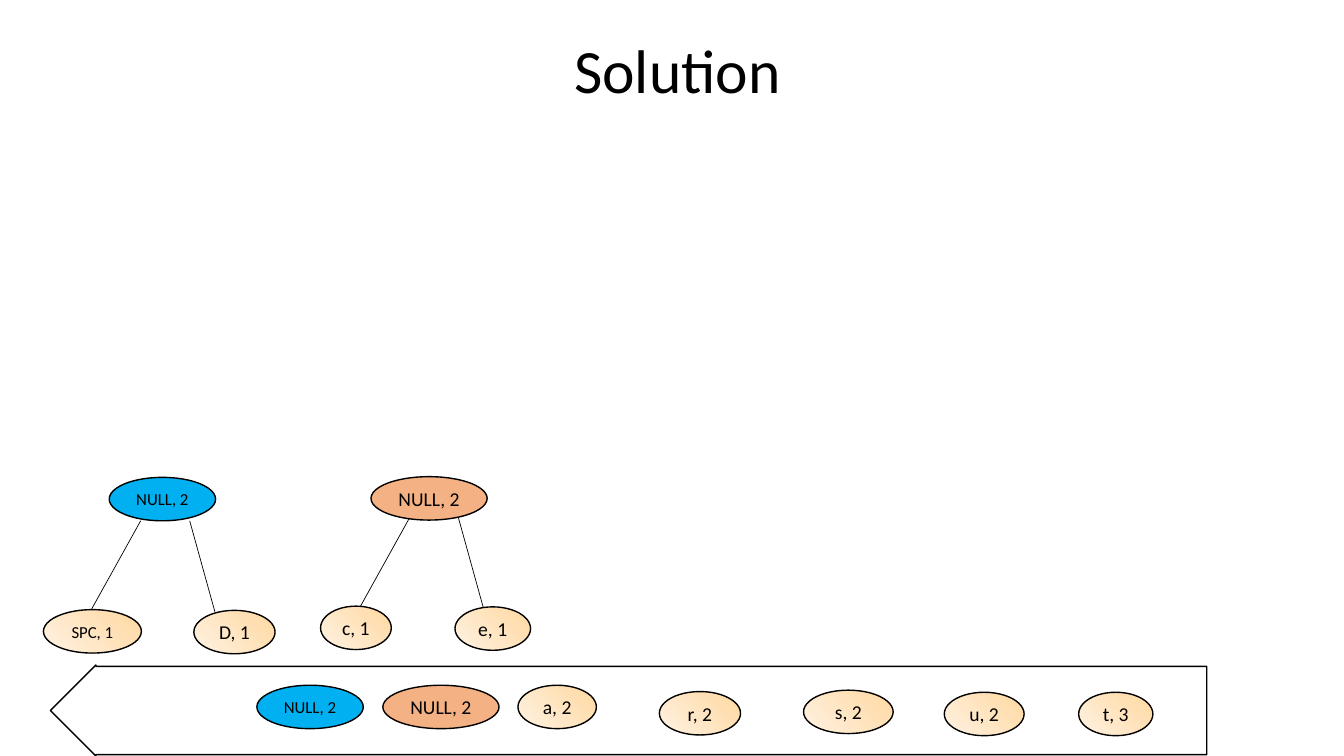
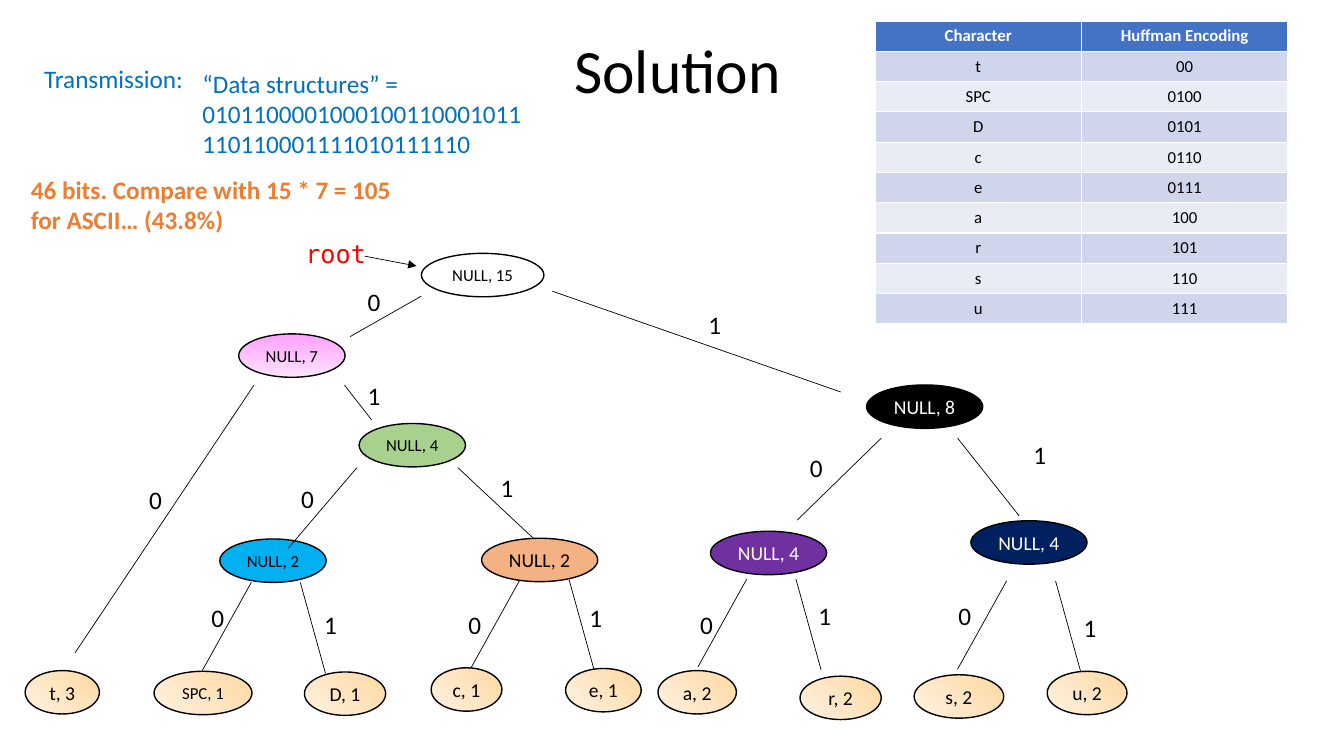
from collections import namedtuple
from lxml.etree import SubElement
from pptx import Presentation
from pptx.dml.color import RGBColor
from pptx.enum.shapes import MSO_CONNECTOR, MSO_SHAPE
from pptx.enum.text import MSO_ANCHOR, PP_ALIGN
from pptx.oxml.ns import qn
from pptx.util import Pt

BLACK = RGBColor(0x00, 0x00, 0x00)
WHITE = RGBColor(0xFF, 0xFF, 0xFF)
RED = RGBColor(0xFF, 0x00, 0x00)
BLUE = RGBColor(0x00, 0x70, 0xC0)
RUST = RGBColor(0xED, 0x7D, 0x31)
SKY = RGBColor(0x00, 0xB0, 0xF0)
CORAL = RGBColor(0xF4, 0xB1, 0x83)
PLUM = RGBColor(0x70, 0x30, 0xA0)
NAVY = RGBColor(0x00, 0x20, 0x60)
GREEN = RGBColor(0xA9, 0xD1, 0x8E)
HEAD = RGBColor(0x44, 0x72, 0xC4)
BANDS = (RGBColor(0xE9, 0xEB, 0xF5), RGBColor(0xCF, 0xD5, 0xEA))
PEACH = (RGBColor(0xFF, 0xD8, 0xA0), RGBColor(0xFF, 0xF2, 0xE3), 225)
PINK = (RGBColor(0xFF, 0xA0, 0xFF), RGBColor(0xFF, 0xE3, 0xFF), 270)

SANS = "Calibri"
MONO = "DejaVu Sans Mono"
TALL = 31

Node = namedtuple("Node", "text width size fill ink", defaults=(14, PEACH, BLACK))
Pair = namedtuple("Pair", "top foot left right")

LEAF = {
    "SPC": Node("SPC, 1", 70, 12),
    "D": Node("D, 1", 58),
    "c": Node("c, 1", 50.5),
    "e": Node("e, 1", 54),
    "a": Node("a, 2", 56),
    "r": Node("r, 2", 58),
    "s": Node("s, 2", 64),
    "u": Node("u, 2", 57),
    "t": Node("t, 3", 53),
}
PAIRS = {
    "sky": Pair(Node("NULL, 2", 76, 12, SKY), (-12.5, 31),
                ("SPC", -47, 94.5), ("D", 60.5, 95)),
    "coral": Pair(Node("NULL, 2", 83, 14, CORAL), (-7.5, 29.5),
                  ("c", -36, 92.5), ("e", 60, 93)),
    "plum": Pair(Node("NULL, 4", 83, 14, PLUM, WHITE), (-9, 34),
                 ("a", -37.5, 99.5), ("r", 64, 103.5)),
    "navy": Pair(Node("NULL, 4", 83, 14, NAVY, WHITE), (-9.5, 43),
                 ("s", -40.5, 110), ("u", 54.5, 107.5)),
}
QUEUE = (
    (PAIRS["sky"].top, 147.5, 14.5), (PAIRS["coral"].top, 237.5, 14.5),
    (LEAF["a"], 334, 14.5), (LEAF["r"], 435, 19), (LEAF["s"], 538, 18),
    (LEAF["u"], 638.5, 19.5), (LEAF["t"], 734.5, 19.5),
)
EDGES = (
    (232, 73.5, 283, 44.5), (582.5, 113, 376.5, 41),
    (551.5, 204.5, 611.5, 146), (710, 201.5, 666, 146),
    (188, 224.5, 237, 167), (363, 217.5, 309, 167),
    (228, 108, 247.5, 133), (35.5, 299.5, 163.5, 108),
)
CROWN = (
    (Node("NULL, 15", 87.5, 12, WHITE), 283, 14),
    (Node("NULL, 7", 76, 12, PINK), 152.5, 71.5),
    (Node("NULL, 4", 76, 12, GREEN), 238.5, 135.5),
    (Node("NULL, 8", 83, 14, BLACK, WHITE), 601, 108),
    (LEAF["t"], 0, 312),
)
LIMBS = (("sky", 139, 218), ("coral", 326, 217.5),
         ("plum", 489.5, 212.5), ("navy", 675.5, 205))
BITS = {
    "0": ((190, 175), (81.5, 175.5), (126, 260), (309.5, 265), (475, 264.5),
          (553.5, 152.5), (659.5, 258.5), (237.5, 34)),
    "1": ((481, 50.5), (332.5, 167), (237.5, 101), (206.5, 264.5),
          (749, 266.5), (559.5, 258.5), (713, 143.5), (396, 260)),
}
CODES = (
    ("Character", "Huffman Encoding"), ("t", "00"), ("SPC", "0100"),
    ("D", "0101"), ("c", "0110"), ("e", "0111"), ("a", "100"),
    ("r", "101"), ("s", "110"), ("u", "111"),
)


def put(obj, vals):
    """Set attributes from a dict, going into nested dicts."""
    for key, val in vals.items():
        if isinstance(val, dict):
            put(getattr(obj, key), val)
        else:
            setattr(obj, key, val)


def font(size, ink=BLACK, name=SANS, bold=False):
    """Return the format values of a font."""
    return {"size": Pt(size), "name": name, "bold": bold, "color": {"rgb": ink}}


def write(frame, lines, face, **look):
    """Fill a text frame with one paragraph for each line."""
    for num, line in enumerate(lines):
        para = frame.add_paragraph() if num else frame.paragraphs[0]
        run = para.add_run()
        run.text = line
        put(run, {"font": face})
        put(para, look)


def label(slide, box, lines, face, wrap=True, anchor=MSO_ANCHOR.TOP, **look):
    """Add a text box."""
    frame = slide.shapes.add_textbox(*map(Pt, box)).text_frame
    put(frame, {"word_wrap": wrap, "vertical_anchor": anchor})
    write(frame, lines, face, **look)


def paint(fill, tint):
    """Apply a plain colour or a gradient of two colours and an angle."""
    if isinstance(tint, RGBColor):
        fill.solid()
        fill.fore_color.rgb = tint
        return
    fill.gradient()
    fill.gradient_angle = tint[2]
    for stop, shade in zip(fill.gradient_stops, tint):
        stop.color.rgb = shade


def shape(slide, kind, box):
    """Add an outlined shape without a shadow."""
    form = slide.shapes.add_shape(kind, *map(Pt, box))
    form.line.fill.solid()
    put(form, {"shadow": {"inherit": False},
               "line": {"width": Pt(1), "color": {"rgb": BLACK}}})
    return form


def oval(slide, node, left, top):
    """Draw one tree node."""
    form = shape(slide, MSO_SHAPE.OVAL, (left, top, node.width, TALL))
    paint(form.fill, node.fill)
    put(form.text_frame, {"word_wrap": False, "vertical_anchor": MSO_ANCHOR.MIDDLE})
    write(form.text_frame, [node.text], font(node.size, node.ink),
          alignment=PP_ALIGN.CENTER)


def edge(slide, left, top, ends, arrow=False):
    """Draw a thin line between two points of a box."""
    x1, y1, x2, y2 = ends
    line = slide.shapes.add_connector(
        MSO_CONNECTOR.STRAIGHT,
        Pt(left + x1), Pt(top + y1), Pt(left + x2), Pt(top + y2))
    put(line, {"line": {"width": Pt(0.5), "color": {"rgb": BLACK}}})
    if arrow:
        SubElement(line.line._get_or_add_ln(), qn("a:tailEnd"), type="triangle")
    SubElement(line._element.spPr, qn("a:effectLst"))


def limb(slide, name, left, top):
    """Draw a parent node with its two leaves."""
    pair = PAIRS[name]
    for ends in ((0, 63, 35, 0), (88, 65, 70, 0)):
        edge(slide, left + pair.foot[0], top + pair.foot[1], ends)
    for leaf, x, y in (pair.left, pair.right):
        oval(slide, LEAF[leaf], left + x, top + y)
    oval(slide, pair.top, left, top)


def queue(slide, left, top):
    """Draw the queue arrow and the nodes waiting in it."""
    form = shape(slide, MSO_SHAPE.LEFT_ARROW, (left, top, 826, 65))
    form.fill.background()
    form.adjustments[0], form.adjustments[1] = 0.97, 0.5
    for node, x, y in QUEUE:
        oval(slide, node, left + x, top + y)


def tree(slide, left, top):
    """Draw the full code tree with its bits."""
    for name, x, y in LIMBS:
        limb(slide, name, left + x, top + y)
    for node, x, y in CROWN:
        oval(slide, node, left + x, top + y)
    for ends in EDGES:
        edge(slide, left, top, ends)
    label(slide, (left + 193, top, 166, 29), ["root"], font(18, RED, MONO))
    edge(slide, left, top, (242.5, 16, 279.5, 23), True)
    for bit, spots in BITS.items():
        for x, y in spots:
            label(slide, (left + x, top + y, 36, 29), [bit], font(18))


def chart(slide, left, top, width, high):
    """Add the table of codes."""
    box = map(Pt, (left, top, width, high))
    table = slide.shapes.add_table(len(CODES), 2, *box).table
    for row, words in enumerate(CODES):
        for col, word in enumerate(words):
            cell = table.cell(row, col)
            paint(cell.fill, BANDS[row % 2] if row else HEAD)
            face = font(12, BLACK if row else WHITE, bold=not row)
            write(cell.text_frame, [word], face, alignment=PP_ALIGN.CENTER)


def notes(slide, left, top):
    """Add the coded message and its size."""
    label(slide, (left + 9.5, top, 120, 29), ["Transmission:"], font(18, BLUE))
    label(slide, (left + 122.5, top + 3, 243.5, 73),
          ["“Data structures” =",
           "0101100001000100110001011110110001111010111110"], font(18, BLUE))
    label(slide, (left, top + 79, 282, 51),
          ["46 bits. Compare with 15 * 7 = 105", "for ASCII… (43.8%)"],
          font(18, RUST, bold=True), wrap=False)


def page(deck):
    """Add a blank slide with the shared title."""
    slide = deck.slides.add_slide(deck.slide_layouts[6])
    label(slide, (70, 0, 828, 104.5), ["Solution"], font(44),
          anchor=MSO_ANCHOR.MIDDLE, alignment=PP_ALIGN.CENTER, line_spacing=0.9)
    return slide


def main():
    """Build and save both slides."""
    deck = Presentation()
    put(deck, {"slide_width": Pt(960), "slide_height": Pt(540)})
    first = page(deck)
    queue(first, 36, 475)
    limb(first, "sky", 78, 341)
    limb(first, "coral", 265, 340.5)
    second = page(deck)
    tree(second, 18, 167)
    chart(second, 625, 15, 295, 216)
    notes(second, 15, 42)
    deck.save("out.pptx")


if __name__ == "__main__":
    main()
